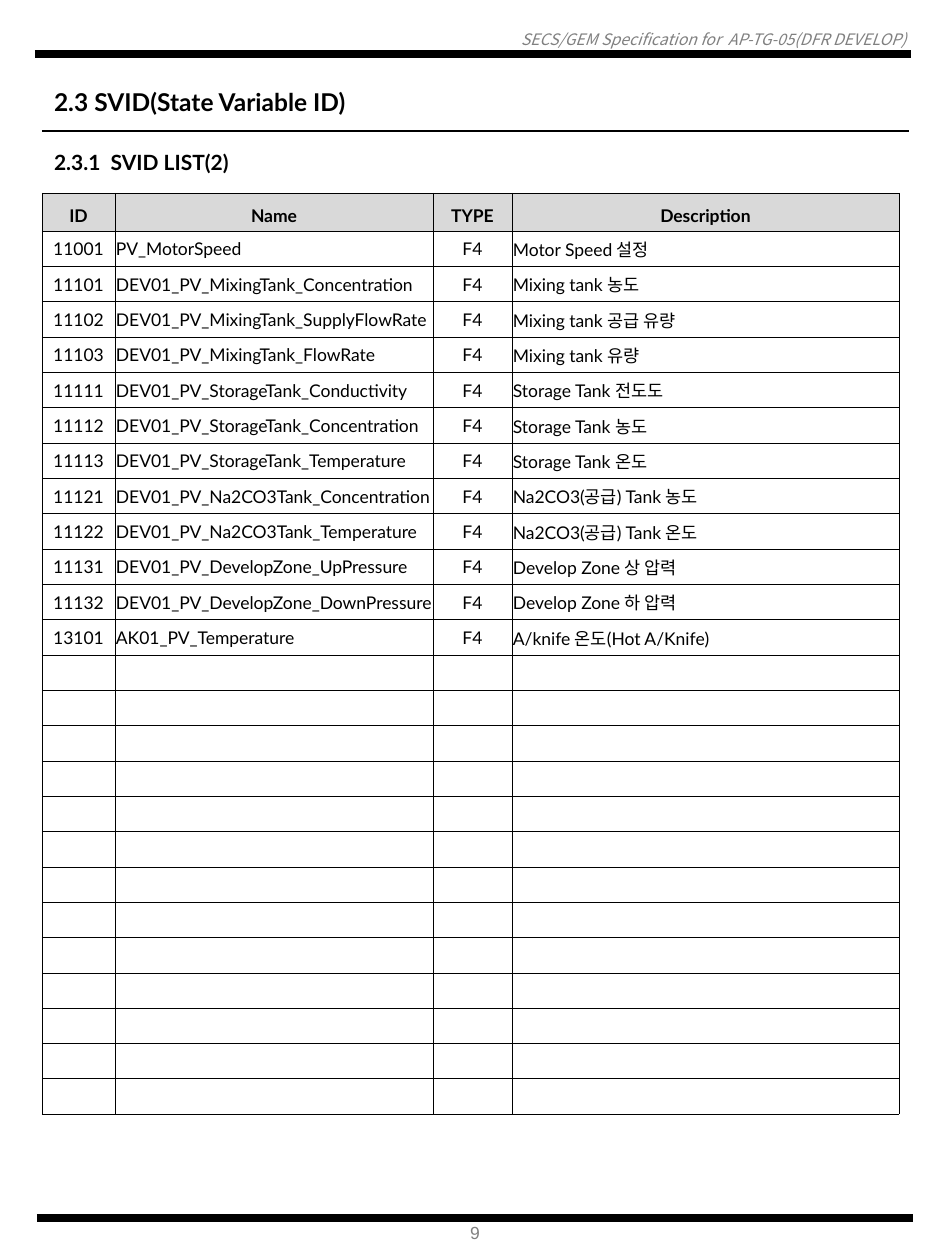
import dataclasses
import typing

import lxml.etree
import pptx
import pptx.dml.color
import pptx.enum.shapes
import pptx.enum.text
import pptx.oxml
import pptx.oxml.ns
import pptx.util

PIXELS_PER_INCH = 126
ALIGN = pptx.enum.text.PP_ALIGN
TABLE_HEIGHT = 919
ROW_COUNT = 26
COLUMN_WIDTHS = (73, 318, 79, 387)
COLUMN_ALIGNMENTS = (ALIGN.CENTER, ALIGN.LEFT, ALIGN.CENTER, ALIGN.LEFT)
HEADINGS = ("ID", "Name", "TYPE", "Description")


class Variable(typing.NamedTuple):
    number: str
    name: str
    description: str


@dataclasses.dataclass(frozen=True)
class Style:
    font: str
    size: int
    color: str = "000000"
    bold: bool = False
    italic: bool = False
    alignment: ALIGN = ALIGN.LEFT


@dataclasses.dataclass(frozen=True)
class Label:
    text: str
    left: int
    top: int
    width: int
    height: int
    style: Style
    margins: tuple[int, int, int, int] = (12, 6, 12, 6)


@dataclasses.dataclass(frozen=True)
class Rule:
    left: int
    right: int
    y: int
    weight: float


VARIABLES = (
    Variable("11001", "PV_MotorSpeed", "Motor Speed 설정"),
    Variable("11101", "DEV01_PV_MixingTank_Concentration", "Mixing tank 농도"),
    Variable("11102", "DEV01_PV_MixingTank_SupplyFlowRate", "Mixing tank 공급 유량"),
    Variable("11103", "DEV01_PV_MixingTank_FlowRate", "Mixing tank 유량"),
    Variable("11111", "DEV01_PV_StorageTank_Conductivity", "Storage Tank 전도도"),
    Variable("11112", "DEV01_PV_StorageTank_Concentration", "Storage Tank 농도"),
    Variable("11113", "DEV01_PV_StorageTank_Temperature", "Storage Tank 온도"),
    Variable("11121", "DEV01_PV_Na2CO3Tank_Concentration", "Na2CO3(공급) Tank 농도"),
    Variable("11122", "DEV01_PV_Na2CO3Tank_Temperature", "Na2CO3(공급) Tank 온도"),
    Variable("11131", "DEV01_PV_DevelopZone_UpPressure", "Develop Zone 상 압력"),
    Variable("11132", "DEV01_PV_DevelopZone_DownPressure", "Develop Zone 하 압력"),
    Variable("13101", "AK01_PV_Temperature", "A/knife 온도(Hot A/Knife)"),
)

TITLE = Label("2.3 SVID(State Variable ID)", 42, 81, 372, 43, Style("Lato", 14, bold=True))
LABELS = (
    Label(
        "SECS/GEM Specification for  AP-TG-05(DFR DEVELOP)", 6, 30, 900, 19,
        Style("Noto Sans CJK KR", 9, "808080", italic=True, alignment=ALIGN.RIGHT),
        (0, 0, 0, 0),
    ),
    Label("2.3.1  SVID LIST(2)", 42, 144, 233, 38, Style("Lato", 12, bold=True)),
    Label("9", 458, 1216, 47, 34, Style("Arial", 10, "808080")),
)
RULES = (Rule(35, 911, 54, 4.75), Rule(37, 913, 1218, 4.75), Rule(42, 909, 131, 0.75))


def px(value: float) -> pptx.util.Emu:
    return pptx.util.Emu(round(value * 914400 / PIXELS_PER_INCH))


def rgb(value: str) -> pptx.dml.color.RGBColor:
    return pptx.dml.color.RGBColor.from_string(value)


def format_paragraph(paragraph, style: Style) -> None:
    paragraph.alignment = style.alignment
    font = paragraph.font
    font.name = style.font
    font.size = pptx.util.Pt(style.size)
    font.bold = style.bold
    font.italic = style.italic
    font.color.rgb = rgb(style.color)


def fill_label(shape, label: Label) -> None:
    shape.left, shape.top = px(label.left), px(label.top)
    shape.width, shape.height = px(label.width), px(label.height)
    frame = shape.text_frame
    frame.text = label.text
    frame.word_wrap = True
    frame.auto_size = pptx.enum.text.MSO_AUTO_SIZE.NONE
    frame.vertical_anchor = pptx.enum.text.MSO_ANCHOR.TOP
    left, top, right, bottom = map(px, label.margins)
    frame.margin_left, frame.margin_top = left, top
    frame.margin_right, frame.margin_bottom = right, bottom
    format_paragraph(frame.paragraphs[0], label.style)


def draw_rule(slide, rule: Rule) -> None:
    connector = slide.shapes.add_connector(
        pptx.enum.shapes.MSO_CONNECTOR.STRAIGHT,
        px(rule.left), px(rule.y), px(rule.right), px(rule.y),
    )
    connector.line.color.rgb = rgb("000000")
    connector.line.width = pptx.util.Pt(rule.weight)
    lxml.etree.SubElement(connector.element.spPr, pptx.oxml.ns.qn("a:effectLst"))


def add_borders(cell) -> None:
    properties = cell._tc.get_or_add_tcPr()
    for side in ("lnL", "lnR", "lnT", "lnB"):
        properties.append(pptx.oxml.parse_xml(
            f'<a:{side} {pptx.oxml.ns.nsdecls("a")} w="3175"><a:solidFill>'
            f'<a:srgbClr val="000000"/></a:solidFill></a:{side}>'
        ))


def fill_cell(cell, text: str, alignment: ALIGN, heading: bool) -> None:
    add_borders(cell)
    cell.vertical_anchor = pptx.enum.text.MSO_ANCHOR.MIDDLE
    margins = (0, 5, 0, 5) if heading else (1, 1, 1, 0)
    cell.margin_left, cell.margin_top, cell.margin_right, cell.margin_bottom = map(px, margins)
    if heading:
        cell.fill.solid()
        cell.fill.fore_color.rgb = rgb("D9D9D9")
    else:
        cell.fill.background()
    cell.text = text
    paragraph = cell.text_frame.paragraphs[0]
    if not text:
        ending = lxml.etree.SubElement(paragraph._p, pptx.oxml.ns.qn("a:endParaRPr"))
        ending.set("sz", "1000")
    format_paragraph(paragraph, Style("Lato", 10, bold=heading, alignment=alignment))
    if heading:
        paragraph.line_spacing = pptx.util.Pt(16)


def draw_table(slide) -> None:
    table = slide.shapes.add_table(
        ROW_COUNT, len(COLUMN_WIDTHS),
        px(42), px(193), px(sum(COLUMN_WIDTHS)), px(TABLE_HEIGHT),
    ).table
    table.first_row = False
    table.horz_banding = False
    for column, width in zip(table.columns, COLUMN_WIDTHS):
        column.width = px(width)
    for row in table.rows:
        row.height = px(TABLE_HEIGHT / ROW_COUNT)
    rows = [HEADINGS]
    rows += [(item.number, item.name, "F4", item.description) for item in VARIABLES]
    rows += [("",) * len(HEADINGS)] * (ROW_COUNT - len(rows))
    for row_index, texts in enumerate(rows):
        heading = row_index == 0
        for column_index, text in enumerate(texts):
            alignment = ALIGN.CENTER if heading else COLUMN_ALIGNMENTS[column_index]
            fill_cell(table.cell(row_index, column_index), text, alignment, heading)


def main() -> None:
    presentation = pptx.Presentation()
    presentation.slide_width = px(945)
    presentation.slide_height = px(1260)
    slide = presentation.slides.add_slide(presentation.slide_layouts[5])
    fill_label(slide.shapes.title, TITLE)
    for rule in RULES:
        draw_rule(slide, rule)
    for label in LABELS:
        shape = slide.shapes.add_textbox(0, 0, px(label.width), px(label.height))
        fill_label(shape, label)
    draw_table(slide)
    presentation.save("out.pptx")


if __name__ == "__main__":
    main()
